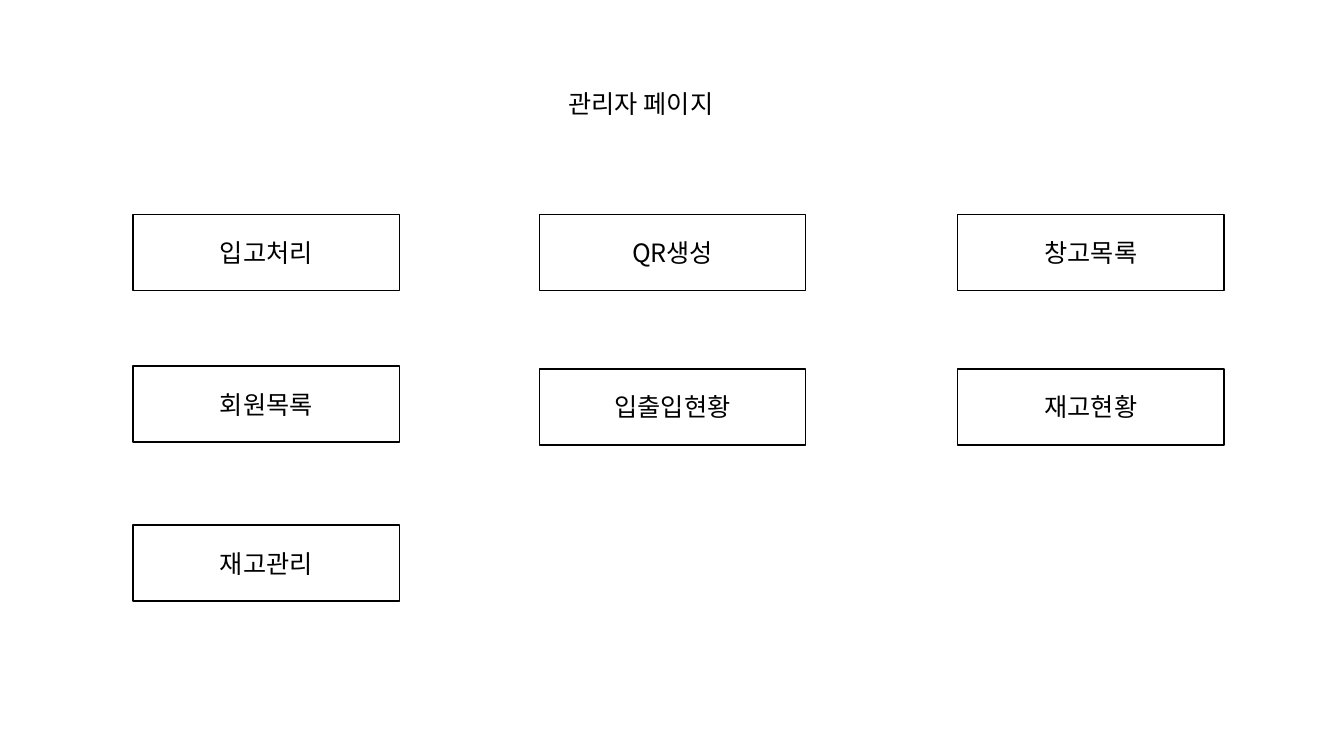
from dataclasses import dataclass

from lxml import etree
from pptx import Presentation
from pptx.dml.color import RGBColor
from pptx.enum import shapes, text
from pptx.oxml import ns
from pptx.util import Pt


@dataclass(frozen=True)
class Theme:
    ink: RGBColor = RGBColor(0, 0, 0)
    paper: RGBColor = RGBColor(255, 255, 255)
    font: str = "Noto Sans CJK KR"
    size: int = 18
    line: int = 1


theme = Theme()


def write(shape, words, align, anchor):
    frame = shape.text_frame
    frame.text = words
    frame.word_wrap = True
    frame.vertical_anchor = anchor
    para = frame.paragraphs[0]
    para.alignment = align
    font = para.font
    font.name = theme.font
    font.size = Pt(theme.size)
    font.color.rgb = theme.ink
    # Hangul takes the East Asian face
    props = para._p.pPr.find(ns.qn("a:defRPr"))
    etree.SubElement(props, ns.qn("a:ea"), typeface=theme.font)


deck = Presentation()
deck.slide_width, deck.slide_height = Pt(960), Pt(540)
slide = deck.slides.add_slide(deck.slide_layouts[5])

title = slide.shapes.title
title.left, title.top, title.width, title.height = Pt(398.9), Pt(59.8), Pt(216), Pt(29)
write(title, "관리자 페이지", text.PP_ALIGN.LEFT, text.MSO_ANCHOR.TOP)
title.text_frame.auto_size = text.MSO_AUTO_SIZE.SHAPE_TO_FIT_TEXT

lefts = [95, 385.2, 684]
rows = [
    ([153.4, 153.4, 153.4], ["입고처리", "QR생성", "창고목록"]),
    ([261.4, 263.5, 263.5], ["회원목록", "입출입현황", "재고현황"]),
    ([375.1], ["재고관리"]),
]
for tops, names in rows:
    for left, top, name in zip(lefts, tops, names):
        box = slide.shapes.add_shape(
            shapes.MSO_SHAPE.RECTANGLE, Pt(left), Pt(top), Pt(190.4), Pt(54.3))
        box.shadow.inherit = False
        box.fill.solid()
        box.fill.fore_color.rgb = theme.paper
        box.line.color.rgb = theme.ink
        box.line.width = Pt(theme.line)
        write(box, name, text.PP_ALIGN.CENTER, text.MSO_ANCHOR.MIDDLE)

deck.save("out.pptx")
